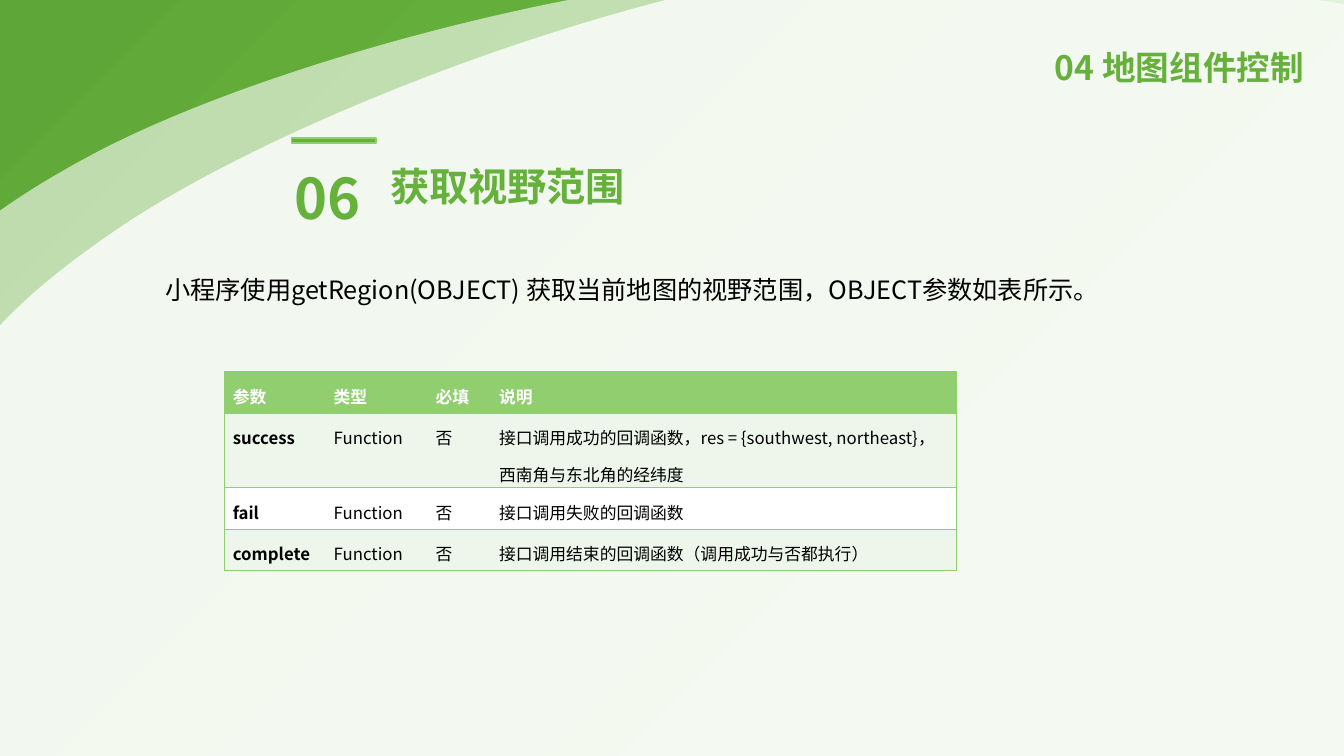
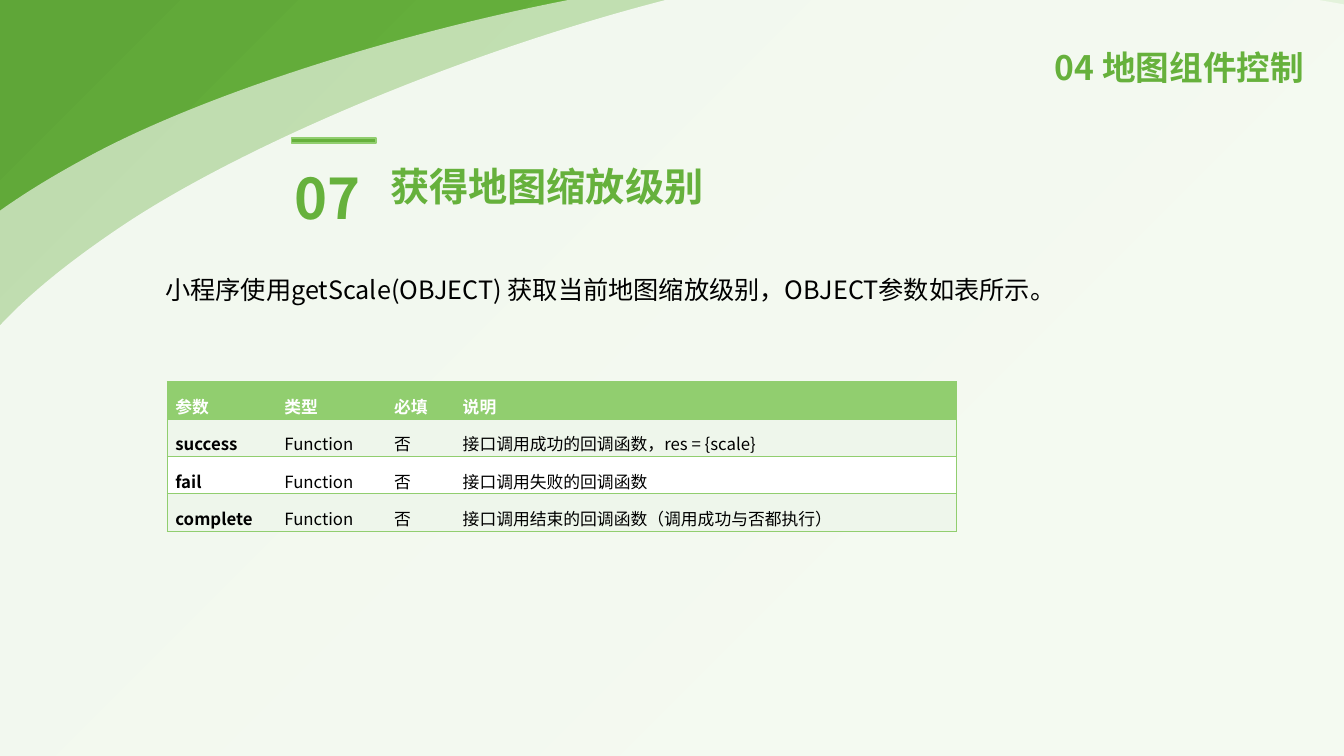
"""Build two slides on map component control, each with a table of callback parameters."""
import lxml.etree
import pptx
import pptx.dml.color
import pptx.enum.shapes
import pptx.enum.text
import pptx.oxml
import pptx.oxml.ns
import pptx.util

Inches = pptx.util.Inches
COLORS = {
    "green": "66B13C", "leaf": "91CE6F", "bright": "7DC555", "deep": "5FA638",
    "pale": "EEF6EB", "white": "FFFFFF", "black": "000000",
}
FONT = "Noto Sans CJK SC"
DRAWING = 'xmlns:a="http://schemas.openxmlformats.org/drawingml/2006/main"'
SECTION = "04 地图组件控制"
HEADERS = ["参数", "类型", "必填", "说明"]
FAIL_NOTE = "接口调用失败的回调函数"
COMPLETE_NOTE = "接口调用结束的回调函数（调用成功与否都执行）"
PAGES = [
    {
        "number": "06", "title": "获取视野范围",
        "intro": "小程序使用getRegion(OBJECT) 获取当前地图的视野范围，OBJECT参数如表所示。",
        "success": "接口调用成功的回调函数，res = {southwest, northeast}，西南角与东北角的经纬度",
        "left": 2.23, "top": 3.69,
        "columns": [1, 1.01, 0.63, 4.62], "rows": [0.41, 0.74, 0.41, 0.41],
    },
    {
        "number": "07", "title": "获得地图缩放级别",
        "intro": "小程序使用getScale(OBJECT) 获取当前地图缩放级别，OBJECT参数如表所示。",
        "success": "接口调用成功的回调函数，res = {scale}",
        "left": 1.66, "top": 3.79,
        "columns": [1.08, 1.09, 0.68, 4.98], "rows": [0.37] * 4,
    },
]
SWOOSH_LEFT, SWOOSH_TOP, SWOOSH_WIDTH, SWOOSH_HEIGHT = -1.93, -0.34, 20.44, 9.93
SWOOSH_START = (-1.35, 3.89)
SWOOSH_CURVES = [
    [(-1.02, 2.97), (-0.61, 2.34), (0.96, 1.51)],
    [(2.52, 0.69), (5.64, -0.2), (8.13, -0.32)],
    [(10.63, -0.44), (14.36, -0.01), (15.92, 0.82)],
    [(17.49, 1.64), (19.27, 4.16), (18.18, 5.46)],
    [(17.08, 6.77), (11.33, 9.31), (8.13, 9.57)],
    [(4.93, 9.83), (0.52, 7.85), (-1.04, 7.02)],
    [(-2.61, 6.2), (-1.68, 4.81), SWOOSH_START],
]


def rgb(name):
    return pptx.dml.color.RGBColor.from_string(COLORS[name])


def write(frame, text, size=12, color="black", bold=False, spacing=1.5,
          align=pptx.enum.text.PP_ALIGN.LEFT):
    frame.word_wrap = True
    paragraph = frame.paragraphs[0]
    paragraph.alignment = align
    paragraph.line_spacing = spacing
    paragraph.space_before = pptx.util.Pt(0)
    run = paragraph.add_run()
    run.text = text
    run.font.size = pptx.util.Pt(size)
    run.font.bold = bold
    run.font.color.rgb = rgb(color)
    run.font.name = FONT
    east_asian = pptx.oxml.parse_xml(f'<a:ea {DRAWING} typeface="{FONT}"/>')
    run._r.get_or_add_rPr().append(east_asian)


prs = pptx.Presentation()
prs.slide_width = Inches(13.33)
prs.slide_height = Inches(7.5)
layout = prs.slide_layouts[5]
slides = [prs.slides.add_slide(layout) for page in PAGES]

shapes = slides[0].shapes
backdrop = shapes.add_shape(
    pptx.enum.shapes.MSO_SHAPE.RECTANGLE, 0, 0, prs.slide_width, prs.slide_height)
stops = "".join(
    f'<a:gs pos="{percent * 1000}"><a:srgbClr val="{COLORS[name]}"/></a:gs>'
    for percent, name in [(0, "bright"), (23, "bright"), (69, "green"), (97, "deep")])
gradient = pptx.oxml.parse_xml(
    f'<a:gradFill {DRAWING} rotWithShape="1"><a:gsLst>{stops}</a:gsLst>'
    '<a:path path="circle"><a:fillToRect l="100000" t="100000"/></a:path></a:gradFill>')
backdrop.element.spPr.find(pptx.oxml.ns.qn("a:prstGeom")).addnext(gradient)

background = [backdrop]
corners = [(Inches(x), Inches(y)) for *controls, (x, y) in SWOOSH_CURVES]
for left, top, rotation, opacity in [
        (SWOOSH_LEFT, SWOOSH_TOP, 0, 60), (-1.38, -0.39, 354.1, 80)]:
    builder = shapes.build_freeform(Inches(SWOOSH_START[0]), Inches(SWOOSH_START[1]))
    builder.add_line_segments(corners, close=True)
    swoosh = builder.convert_to_shape()
    swoosh.left, swoosh.top = Inches(left), Inches(top)
    swoosh.width, swoosh.height = Inches(SWOOSH_WIDTH), Inches(SWOOSH_HEIGHT)
    swoosh.rotation = rotation
    outline = swoosh.element.spPr.find(".//" + pptx.oxml.ns.qn("a:path"))
    outline.clear()
    outline.set("w", str(Inches(SWOOSH_WIDTH)))
    outline.set("h", str(Inches(SWOOSH_HEIGHT)))
    for command, points in [("moveTo", [SWOOSH_START])] + [
            ("cubicBezTo", curve) for curve in SWOOSH_CURVES] + [("close", [])]:
        segment = lxml.etree.SubElement(outline, pptx.oxml.ns.qn(f"a:{command}"))
        for x, y in points:
            lxml.etree.SubElement(
                segment, pptx.oxml.ns.qn("a:pt"),
                x=str(Inches(x - SWOOSH_LEFT)), y=str(Inches(y - SWOOSH_TOP)))
    swoosh.fill.solid()
    swoosh.fill.fore_color.rgb = rgb("white")
    tint = swoosh.element.spPr.find(".//" + pptx.oxml.ns.qn("a:srgbClr"))
    lxml.etree.SubElement(tint, pptx.oxml.ns.qn("a:alpha"), val=str(opacity * 1000))
    background.append(swoosh)

for order, part in enumerate(background):
    part.shadow.inherit = False
    part.line.fill.background()
    part.element.nvSpPr.cNvPr.set("id", str(101 + order))
    layout.shapes.element.insert(2 + order, part.element)

for slide, page in zip(slides, PAGES):
    title = slide.shapes.title
    title.left, title.top = Inches(3.77), Inches(1.42)
    title.width, title.height = Inches(3.34), Inches(0.7)
    title.text_frame.auto_size = pptx.enum.text.MSO_AUTO_SIZE.NONE
    title.text_frame.vertical_anchor = pptx.enum.text.MSO_ANCHOR.TOP
    write(title.text_frame, page["title"], size=28, color="green", bold=True, spacing=1.3)

    section = slide.shapes.add_textbox(Inches(7.23), Inches(0.29), Inches(5.8), Inches(0.79))
    section.text_frame.vertical_anchor = pptx.enum.text.MSO_ANCHOR.MIDDLE
    write(section.text_frame, SECTION, size=24, color="green", bold=True, spacing=0.9,
          align=pptx.enum.text.PP_ALIGN.RIGHT)

    accent = slide.shapes.add_shape(
        pptx.enum.shapes.MSO_SHAPE.RECTANGLE,
        Inches(2.89), Inches(1.37), Inches(0.84), Inches(0.05))
    accent.shadow.inherit = False
    accent.fill.solid()
    accent.fill.fore_color.rgb = rgb("green")
    accent.line.color.rgb = rgb("leaf")
    accent.line.width = pptx.util.Pt(1)

    number = slide.shapes.add_textbox(Inches(2.82), Inches(1.37), Inches(0.89), Inches(0.89))
    write(number.text_frame, page["number"], size=40, color="green", bold=True, spacing=1.3)

    intro = slide.shapes.add_textbox(Inches(1.54), Inches(2.52), Inches(10.19), Inches(0.65))
    write(intro.text_frame, page["intro"], size=18)

    callbacks = [("success", page["success"]), ("fail", FAIL_NOTE), ("complete", COMPLETE_NOTE)]
    rows = [HEADERS] + [[name, "Function", "否", note] for name, note in callbacks]
    table = slide.shapes.add_table(
        len(rows), len(HEADERS), Inches(page["left"]), Inches(page["top"]),
        Inches(sum(page["columns"])), Inches(sum(page["rows"]))).table
    table.horz_banding = False
    for column, width in zip(table.columns, page["columns"]):
        column.width = Inches(width)
    for r, texts in enumerate(rows):
        table.rows[r].height = Inches(page["rows"][r])
        fill = "leaf" if r == 0 else "pale" if r % 2 else "white"
        for c, text in enumerate(texts):
            cell = table.cell(r, c)
            cell.margin_left = cell.margin_right = Inches(0.08)
            cell.margin_top = cell.margin_bottom = 0
            edges = {"lnL": c == 0, "lnR": c == len(texts) - 1, "lnT": True, "lnB": True}
            for edge, visible in edges.items():
                paint = (f'<a:solidFill><a:srgbClr val="{COLORS["leaf"]}"/></a:solidFill>'
                         if visible else "<a:noFill/>")
                cell._tc.get_or_add_tcPr().append(pptx.oxml.parse_xml(
                    f'<a:{edge} {DRAWING} w="12700">{paint}</a:{edge}>'))
            cell.fill.solid()
            cell.fill.fore_color.rgb = rgb(fill)
            write(cell.text_frame, text, color="white" if r == 0 else "black",
                  bold=r == 0 or c == 0)

prs.save("out.pptx")
